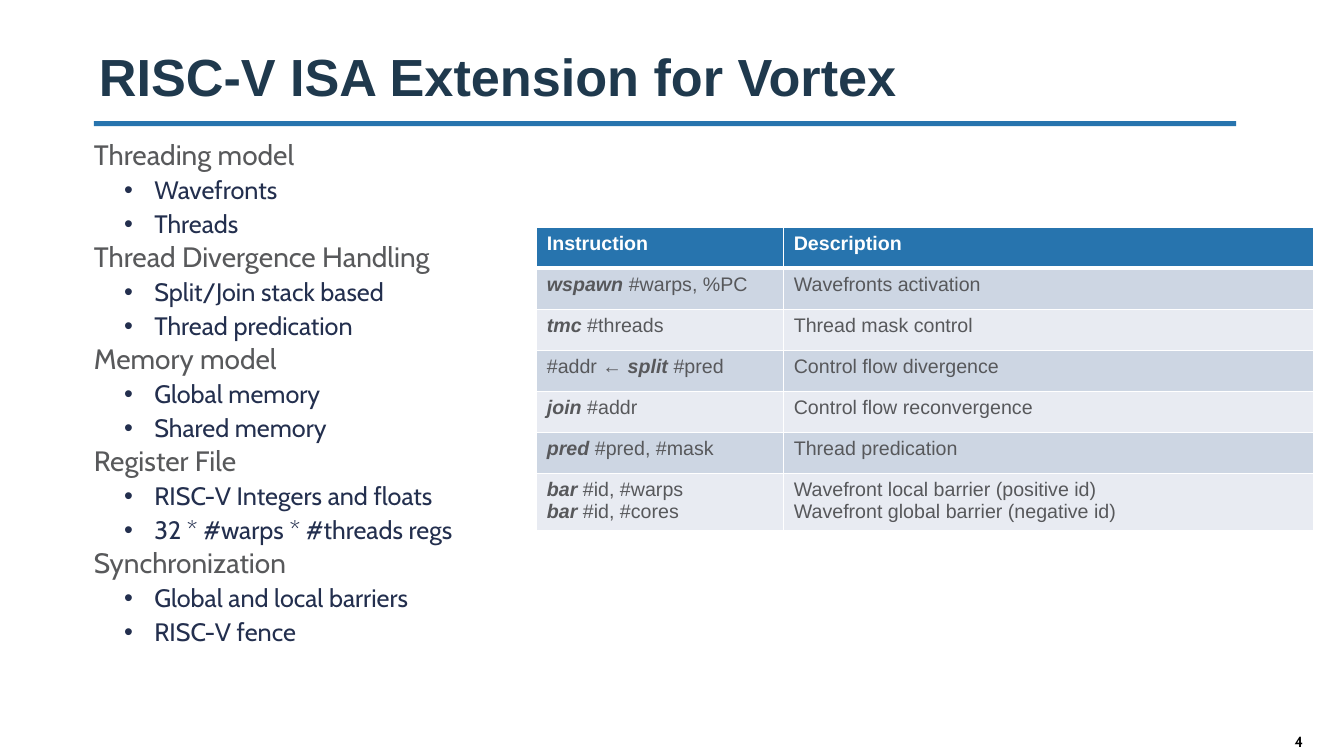
from lxml.etree import SubElement
from pptx import Presentation
from pptx.dml.color import RGBColor
from pptx.enum.shapes import MSO_SHAPE
from pptx.enum.text import MSO_ANCHOR, MSO_AUTO_SIZE, PP_ALIGN
from pptx.oxml.ns import qn
from pptx.util import Pt

BLUE, WHITE, GREY, NAVY = "2774AE", "FFFFFF", "58595B", "232F4E"
BANDS = ["CDD6E3", "E8EBF2"]
TOPICS = {
    "Threading model": ["Wavefronts", "Threads"],
    "Thread Divergence Handling": ["Split/Join stack based", "Thread predication"],
    "Memory model": ["Global memory", "Shared memory"],
    "Register File": ["RISC-V Integers and floats", "32 * #warps * #threads regs"],
    "Synchronization": ["Global and local barriers", "RISC-V fence"],
}
INSTRUCTIONS = [
    ("Instruction", "Description"),
    ("*wspawn* #warps, %PC", "Wavefronts activation"),
    ("*tmc* #threads", "Thread mask control"),
    ("#addr ← *split* #pred", "Control flow divergence"),
    ("*join* #addr", "Control flow reconvergence"),
    ("*pred* #pred, #mask", "Thread predication"),
    ("*bar* #id, #warps\n*bar* #id, #cores",
     "Wavefront local barrier (positive id)\nWavefront global barrier (negative id)"),
]


def color(value):
    """Turn a hex string into a colour."""
    return RGBColor.from_string(value)


def place(box, left, top, width, height):
    """Set the position and size of a box in points."""
    box.left, box.top, box.width, box.height = map(Pt, (left, top, width, height))


def add_span(para, text, size, fill, font="Cabin", bold=False, italic=False):
    """Append a formatted span to a paragraph."""
    span = para.add_run()
    span.text = text
    span.font.size, span.font.name = Pt(size), font
    span.font.bold, span.font.italic = bold, italic
    span.font.color.rgb = color(fill)


def next_para(frame, index):
    """Return the first paragraph of a frame, or a new one after it."""
    return frame.add_paragraph() if index else frame.paragraphs[0]


def add_title(page, text):
    """Fill the title placeholder and draw the rule below it."""
    place(page.shapes.title, 63.4, 13.7, 887.8, 66.2)
    frame = page.shapes.title.text_frame
    frame.vertical_anchor = MSO_ANCHOR.BOTTOM
    frame.auto_size = MSO_AUTO_SIZE.NONE
    para = frame.paragraphs[0]
    para.alignment = PP_ALIGN.LEFT
    add_span(para, text, 37.3, "1F394D", font="Arial", bold=True)
    rule = page.shapes.add_shape(MSO_SHAPE.RECTANGLE, Pt(67), Pt(86.6), Pt(816), Pt(3.6))
    rule.shadow.inherit = False
    rule.fill.solid()
    rule.fill.fore_color.rgb = color(BLUE)
    rule.line.fill.background()


def add_topic(para, text):
    """Write an unbulleted topic heading."""
    properties = para._p.get_or_add_pPr()
    properties.set("marL", "0")
    properties.set("indent", "0")
    SubElement(properties, qn("a:buNone"))
    para.space_before = Pt(0)
    add_span(para, text, 20, GREY)


def add_bullet(para, text):
    """Write a bulleted second-level point."""
    para.level = 1
    properties = para._p.get_or_add_pPr()
    properties.set("marL", str(Pt(43.2)))
    properties.set("indent", str(Pt(-21.6)))
    SubElement(properties, qn("a:buFont"), typeface="Arial")
    SubElement(properties, qn("a:buChar"), char="•")
    para.line_spacing, para.space_before = 0.9, Pt(5)
    add_span(para, text, 18, NAVY)


def add_topics(page, topics):
    """Fill the body placeholder with topics and their points."""
    body = page.placeholders[1]
    place(body, 59.8, 94.3, 908.6, 408.2)
    frame = body.text_frame
    frame.auto_size = MSO_AUTO_SIZE.NONE
    for index, (topic, points) in enumerate(topics.items()):
        add_topic(next_para(frame, index), topic)
        for point in points:
            add_bullet(frame.add_paragraph(), point)


def add_borders(cell, top, bottom):
    """Give a cell white borders with the stated top and bottom widths."""
    properties = cell._tc.get_or_add_tcPr()
    for side, width in zip("LRTB", (1, 1, top, bottom)):
        line = SubElement(properties, qn(f"a:ln{side}"), w=str(Pt(width)))
        fill = SubElement(line, qn("a:solidFill"))
        SubElement(fill, qn("a:srgbClr"), val=WHITE)


def fill_cell(cell, text, row):
    """Write a cell, with starred parts in bold italic."""
    header = row == 0
    add_borders(cell, top=3 if row == 1 else 1, bottom=3 if header else 1)
    cell.fill.solid()
    cell.fill.fore_color.rgb = color(BLUE if header else BANDS[(row - 1) % 2])
    for index, line in enumerate(text.split("\n")):
        para = next_para(cell.text_frame, index)
        for part, words in enumerate(line.split("*")):
            if words:
                strong = part % 2 == 1
                add_span(para, words, 14, WHITE if header else "57585B", font="Arial",
                         bold=header or strong, italic=strong)


def add_instructions(page, rows):
    """Add the instruction table."""
    height = Pt(29.3)
    table = page.shapes.add_table(len(rows), 2, Pt(383.4), Pt(162.4), Pt(555.2),
                                  height * len(rows)).table
    table.columns[0].width, table.columns[1].width = Pt(176.4), Pt(378.8)
    for row, texts in enumerate(rows):
        table.rows[row].height = height
        for column, text in enumerate(texts):
            fill_cell(table.cell(row, column), text, row)


def add_page_number(page, number):
    """Add the page number at the lower right."""
    box = page.shapes.add_textbox(Pt(887.8), Pt(519.8), Pt(80), Pt(18))
    box.text_frame.word_wrap = True
    para = box.text_frame.paragraphs[0]
    para.alignment = PP_ALIGN.CENTER
    add_span(para, number, 10.5, "000000", bold=True)


def main():
    """Build and save the deck."""
    deck = Presentation()
    deck.slide_width, deck.slide_height = Pt(960), Pt(540)
    page = deck.slides.add_slide(deck.slide_layouts[1])
    add_title(page, "RISC-V ISA Extension for Vortex")
    add_page_number(page, "4")
    add_topics(page, TOPICS)
    add_instructions(page, INSTRUCTIONS)
    deck.save("out.pptx")


if __name__ == "__main__":
    main()
